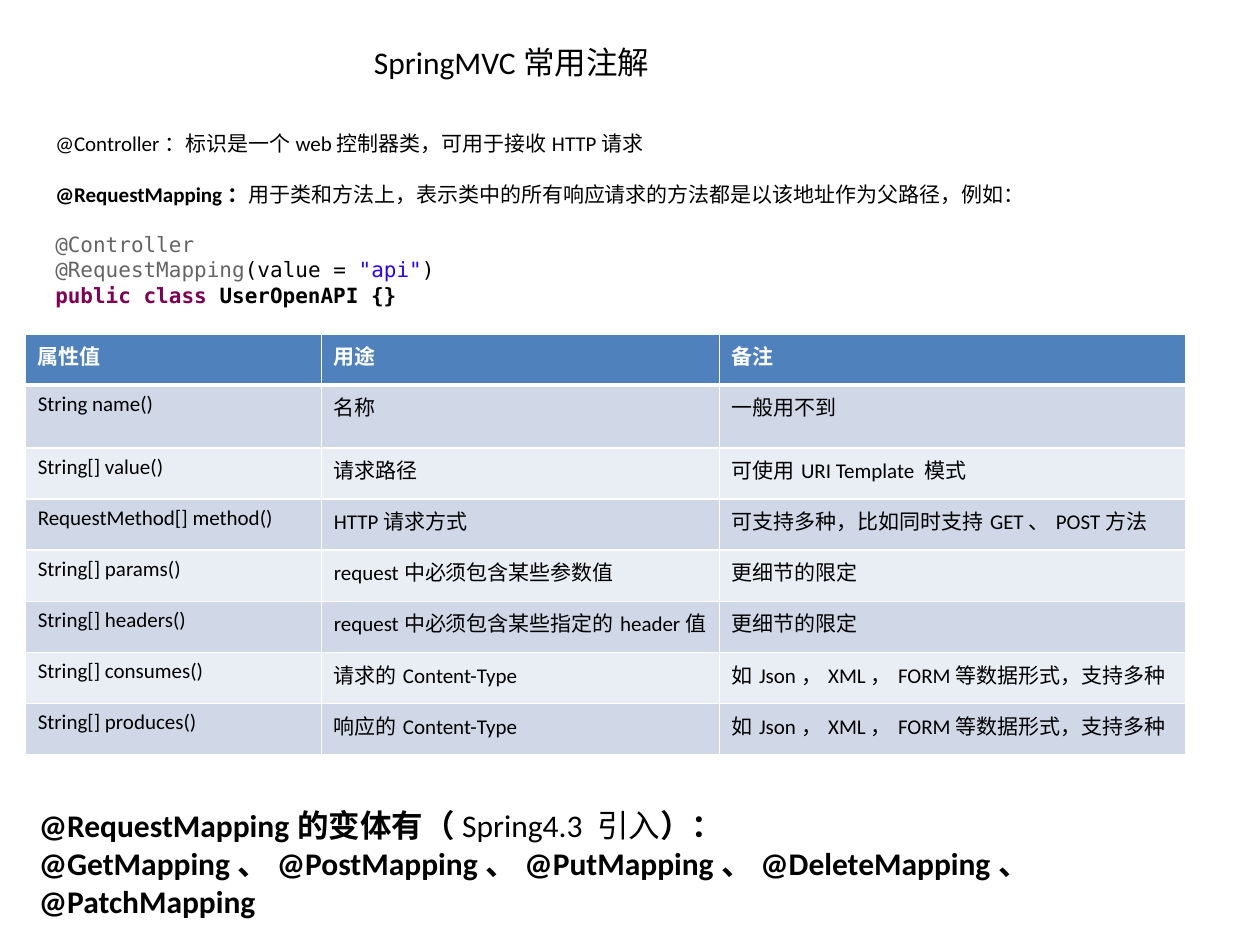
from lxml.etree import SubElement
from pptx import Presentation
from pptx.dml.color import RGBColor
from pptx.enum.text import MSO_ANCHOR
from pptx.oxml.ns import qn
from pptx.util import Pt

ROWS = [
    ("属性值", "用途", "备注"),
    ("String name()", "名称", "一般用不到"),
    ("String[] value()", "请求路径", "可使用URI Template 模式"),
    ("RequestMethod[] method()", "HTTP请求方式", "可支持多种，比如同时支持GET、POST方法"),
    ("String[] params()", "request中必须包含某些参数值", "更细节的限定"),
    ("String[] headers()", "request中必须包含某些指定的header值", "更细节的限定"),
    ("String[] consumes()", "请求的Content-Type", "如Json，XML，FORM等数据形式，支持多种"),
    ("String[] produces()", "响应的Content-Type", "如Json，XML，FORM等数据形式，支持多种"),
]


def rgb(value):
    return RGBColor.from_string(value)


def add_run(p, text, size=12, font="Calibri", color="000000", bold=False):
    r = p.add_run()
    r.text = text
    r.font.size = Pt(size)
    r.font.name = font
    r.font.bold = bold
    r.font.color.rgb = rgb(color)


class Deck:
    body = "Calibri"
    code = "DejaVu Sans Mono"
    header = "4F81BD"
    bands = ("E9EDF4", "D0D8E8")
    border = "FFFFFF"

    def __init__(self, prs):
        self.s = prs.slides.add_slide(prs.slide_layouts[6])

    def text(self, x, y, w, h, paragraphs, size=12):
        sp = self.s.shapes.add_textbox(Pt(x), Pt(y), Pt(w), Pt(h))
        tf = sp.text_frame
        tf.word_wrap = True
        tf.vertical_anchor = MSO_ANCHOR.TOP
        for i, (gap, runs) in enumerate(paragraphs):
            p = tf.add_paragraph() if i else tf.paragraphs[0]
            p.space_before = Pt(gap)
            for text, style in runs:
                add_run(p, text, **{"size": size, "font": self.body, **style})

    def borders(self, cell, bottom):
        pr = cell._tc.get_or_add_tcPr()
        for i, (tag, width) in enumerate(
            (("a:lnL", 1), ("a:lnR", 1), ("a:lnT", 1), ("a:lnB", bottom))
        ):
            ln = pr.makeelement(qn(tag), {"w": str(Pt(width))})
            fill = SubElement(ln, qn("a:solidFill"))
            SubElement(fill, qn("a:srgbClr"), val=self.border)
            pr.insert(i, ln)

    def table(self, x, y, widths, heights, rows):
        frame = self.s.shapes.add_table(
            len(rows), len(widths), Pt(x), Pt(y), Pt(sum(widths)), Pt(sum(heights))
        )
        tbl = frame.table
        for col, width in zip(tbl.columns, widths):
            col.width = Pt(width)
        for i, (row, height) in enumerate(zip(rows, heights)):
            tbl.rows[i].height = Pt(height)
            head = i == 0
            for j, text in enumerate(row):
                cell = tbl.cell(i, j)
                cell.fill.solid()
                cell.fill.fore_color.rgb = rgb(self.header if head else self.bands[i % 2])
                self.borders(cell, 3 if head else 1)
                add_run(
                    cell.text_frame.paragraphs[0], text, font=self.body,
                    color="FFFFFF" if head else "000000", bold=head,
                )


def main():
    prs = Presentation()
    prs.slide_width, prs.slide_height = Pt(720), Pt(540)
    deck = Deck(prs)
    bold = {"bold": True}
    code = {"font": deck.code}
    annotation = {**code, "color": "646464"}

    deck.text(206.6, 20.9, 203.8, 28.8, [(0, [("SpringMVC常用注解", {})])], size=18)
    deck.text(24.5, 71.3, 635, 108.7, [
        (0, [("@Controller：标识是一个web控制器类，可用于接收HTTP请求", {})]),
        (14.4, [
            ("@RequestMapping：", bold),
            ("用于类和方法上，表示类中的所有响应请求的方法都是以该地址作为父路径，例如：", {}),
        ]),
        (14.4, [("@Controller", annotation)]),
        (0, [
            ("@RequestMapping", annotation),
            ("(value = ", code),
            ('"api"', {**code, "color": "2A00FF"}),
            (")", code),
        ]),
        (0, [
            ("public class", {**code, **bold, "color": "7F0055"}),
            (" UserOpenAPI {}", {**code, **bold}),
        ]),
    ])
    deck.table(14.4, 190.8, (169.2, 227.5, 266.4), [29.2, 36] + [29.2] * 6, ROWS)
    deck.text(15.1, 457.2, 697.7, 51.1, [
        (0, [("@RequestMapping的变体有（", bold), ("Spring4.3 引入", {}), ("）：", bold)]),
        (0, [("@GetMapping、@PostMapping、@PutMapping、@DeleteMapping、@PatchMapping", bold)]),
    ], size=18)
    prs.save("out.pptx")


if __name__ == "__main__":
    main()
